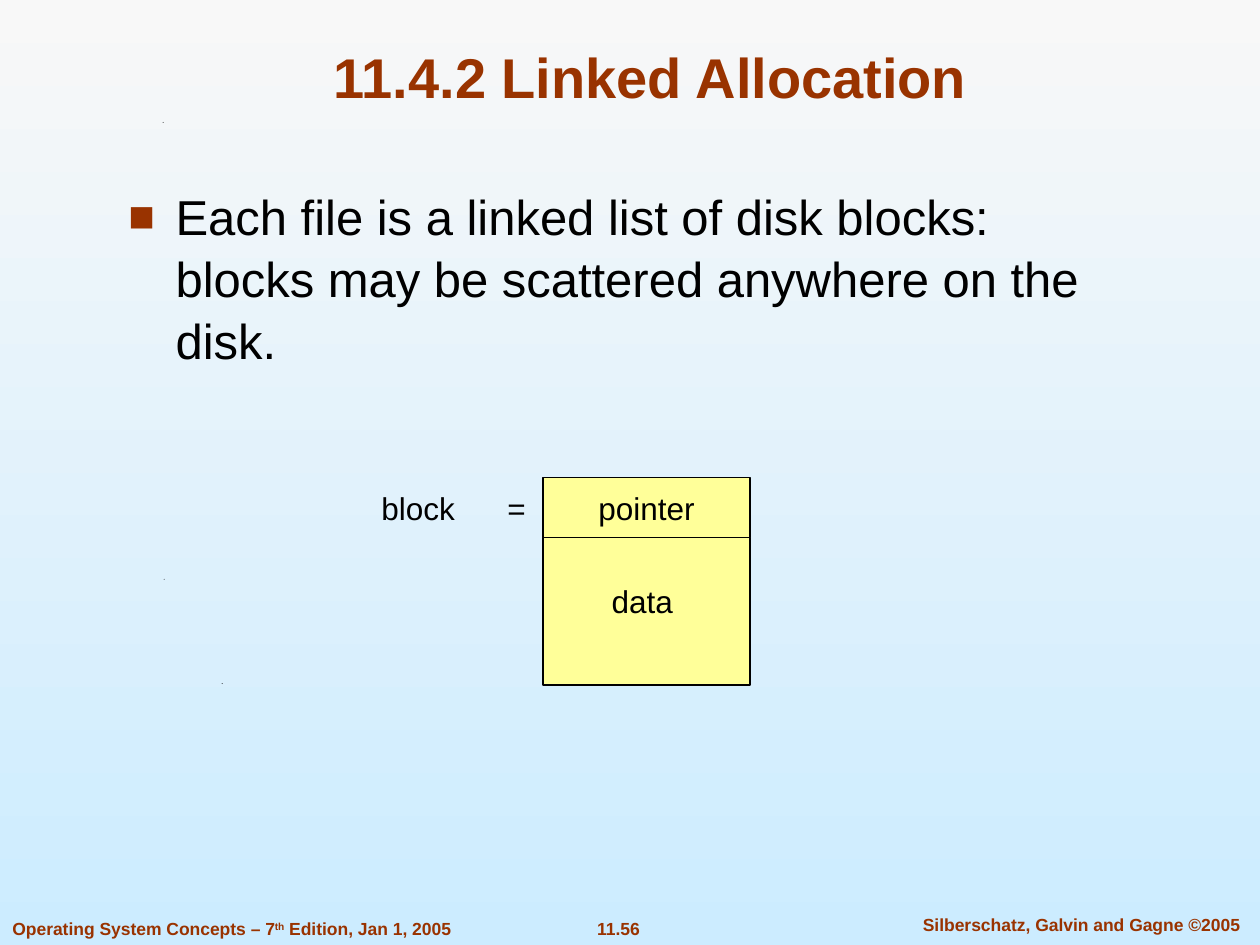
from dataclasses import dataclass

from lxml.etree import SubElement
from pptx import Presentation
from pptx.dml.color import RGBColor as RGB
from pptx.enum.shapes import MSO_SHAPE as Shape
from pptx.enum.text import MSO_ANCHOR as Anchor, PP_ALIGN as Align
from pptx.oxml.ns import qn
from pptx.util import Cm, Pt


@dataclass(frozen=True)
class Theme:
    font: str = "Arial"
    rust: str = "993300"
    ink: str = "000000"
    cell: str = "FFFF99"
    top: str = "F8F8F8"
    base: str = "CCECFF"
    title: int = 32
    body: int = 28
    label: int = 18
    foot: int = 10


look = Theme()
deck = Presentation()
deck.slide_width, deck.slide_height = Cm(25.4), Cm(19.05)
slide = deck.slides.add_slide(deck.slide_layouts[6])
shapes = slide.shapes


def write(shape, text, size=look.label, color=look.ink, bold=False,
          align=Align.CENTER, anchor=Anchor.MIDDLE, bullet=None, tab=None, lead=None):
    """Fill a shape with one paragraph; ^marks^ enclose superscript."""
    frame = shape.text_frame
    frame.word_wrap = True
    frame.vertical_anchor = anchor
    frame.margin_left = Cm(0.25) if align == Align.LEFT else 0
    frame.margin_right = 0
    para = frame.paragraphs[0]
    para.alignment = align
    if lead:
        para.line_spacing = lead
    props = para._p.get_or_add_pPr()
    if bullet:
        props.set("marL", str(Cm(0.95)))
        props.set("indent", str(-Cm(0.95)))
        tint = SubElement(props, qn("a:buClr"))
        SubElement(tint, qn("a:srgbClr"), val=look.rust)
        SubElement(props, qn("a:buSzPct"), val="90000")
        SubElement(props, qn("a:buFont"), typeface=look.font)
        SubElement(props, qn("a:buChar"), char=bullet)
    if tab:
        stops = SubElement(props, qn("a:tabLst"))
        SubElement(stops, qn("a:tab"), pos=str(tab), algn="l")
    for i, part in enumerate(text.split("^")):
        run = para.add_run()
        run.text = part
        font = run.font
        font.name, font.size, font.bold = look.font, Pt(size), bold
        font.color.rgb = RGB.from_string(color)
        if i % 2:
            run._r.get_or_add_rPr().set("baseline", "30000")


def box(x, y, w, h, line=True):
    """Add a yellow cell, with or without an outline."""
    cell = shapes.add_shape(Shape.RECTANGLE, Cm(x), Cm(y), Cm(w), Cm(h))
    cell.shadow.inherit = False
    cell.fill.solid()
    cell.fill.fore_color.rgb = RGB.from_string(look.cell)
    if line:
        cell.line.color.rgb = RGB.from_string(look.ink)
        cell.line.width = Pt(0.75)
    else:
        cell.line.fill.background()
    return cell


# Background
back = slide.background.fill
back.gradient()
back.gradient_angle = 270
for stop, color, spot in zip(back.gradient_stops, (look.top, look.base), (0, 1)):
    stop.color.rgb = RGB.from_string(color)
    stop.position = spot

# Specks
for x, y in ((4.47, 13.78), (3.3, 11.68), (3.28, 2.47)):
    pen = shapes.build_freeform(Cm(x), Cm(y))
    pen.add_line_segments([(Cm(x + 0.02), Cm(y - 0.01)), (Cm(x + 0.01), Cm(y + 0.01))])
    speck = pen.convert_to_shape()
    speck.shadow.inherit = False
    speck.fill.solid()
    speck.fill.fore_color.rgb = RGB.from_string(look.ink)
    speck.line.fill.background()

# Footer, title, body and block label
foot = dict(size=look.foot, color=look.rust, bold=True, anchor=Anchor.TOP)
texts = (
    ("11.56", (11.76, 18.38, 1.42, 0.67), foot),
    ("Silberschatz, Galvin and Gagne ©2005", (18.03, 18.3, 7.54, 0.67), foot),
    ("Operating System Concepts – 7^th^ Edition, Jan 1, 2005",
     (0, 18.38, 9.37, 0.67), foot | dict(align=Align.LEFT)),
    ("11.4.2 Linked Allocation", (1.9, 0.64, 22.43, 1.7),
     dict(size=look.title, color=look.rust, bold=True, anchor=Anchor.BOTTOM)),
    ("Each file is a linked list of disk blocks: blocks may be scattered anywhere on the disk.",
     (2.34, 3.58, 20.2, 2.06),
     dict(size=look.body, align=Align.LEFT, anchor=Anchor.TOP, bullet="■", lead=1.05)),
    ("block\t=", (7.44, 9.73, 3.43, 1.02), dict(align=Align.LEFT, tab=Cm(2.54))),
)
for text, area, style in texts:
    write(shapes.add_textbox(*map(Cm, area)), text, **style)

# Block: pointer above data
left, top, wide, head, tall = 10.95, 9.63, 4.17, 1.21, 2.97
write(box(left, top, wide, head), "pointer")
box(left, top + head, wide, tall)
write(box(11.3, 11.51, 3.3, 1.19, line=False), "data")

deck.save("out.pptx")
